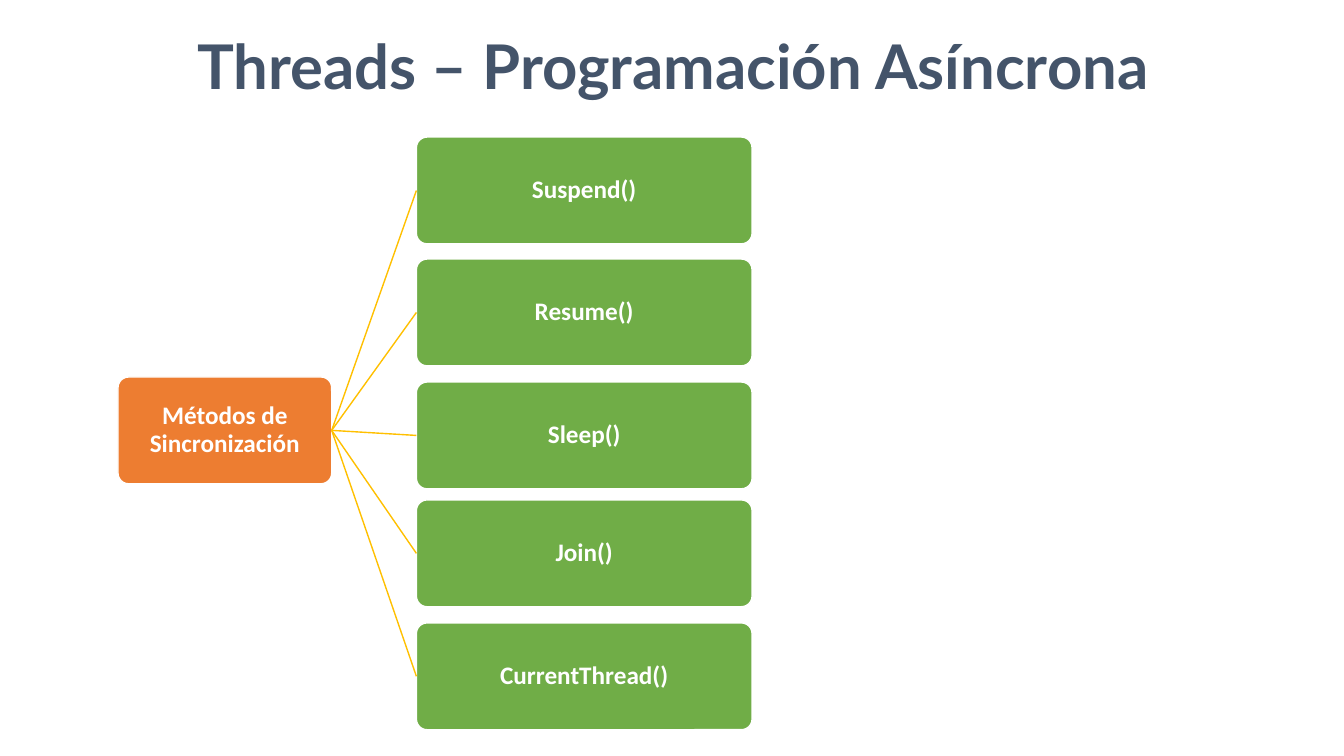
"""Build a slide with a tree of thread synchronisation methods."""
import pptx
import pptx.util
import pptx.dml.color
import pptx.enum.shapes
import pptx.enum.text
import pptx.oxml.ns
from lxml import etree
from pptx.util import Inches

COLORS = {
    "title": "44546A",
    "root": "ED7D31",
    "method": "70AD47",
    "branch": "FFC000",
    "white": "FFFFFF",
}
METHOD_TOPS = {
    "Suspend()": 1.36,
    "Resume()": 2.57,
    "Sleep()": 3.79,
    "Join()": 4.96,
    "CurrentThread()": 6.18,
}
NODE_HEIGHT = 1.06
LEFT_SITE, RIGHT_SITE = 1, 3


def color(name):
    """Return the named colour."""
    return pptx.dml.color.RGBColor.from_string(COLORS[name])


def write_text(shape, text, font_name, size, color_name, inset_x, inset_y):
    """Put one centred bold paragraph in a shape and return it."""
    frame = shape.text_frame
    frame.word_wrap = True
    frame.margin_left = frame.margin_right = Inches(inset_x)
    frame.margin_top = frame.margin_bottom = Inches(inset_y)
    para = frame.paragraphs[0]
    para.text = text
    para.alignment = pptx.enum.text.PP_ALIGN.CENTER
    para.font.name = font_name
    para.font.size = pptx.util.Pt(size)
    para.font.bold = True
    para.font.color.rgb = color(color_name)
    return para


def add_title(page, text):
    """Add the slide heading."""
    box = page.shapes.add_textbox(
        Inches(0.13), Inches(0.26), Inches(13.1), Inches(0.79))
    write_text(box, text, "Lato", 44, "title", 0.05, 0.02)


def add_node(page, text, left, top, width, fill_name):
    """Add a rounded box with a label."""
    node = page.shapes.add_shape(
        pptx.enum.shapes.MSO_SHAPE.ROUNDED_RECTANGLE,
        Inches(left), Inches(top), Inches(width), Inches(NODE_HEIGHT))
    node.adjustments[0] = 0.1
    node.shadow.inherit = False
    node.fill.solid()
    node.fill.fore_color.rgb = color(fill_name)
    node.line.color.rgb = color("white")
    node.line.width = pptx.util.Pt(1)
    para = write_text(node, text, "Calibri", 18, "white", 0.04, 0.04)
    para.line_spacing = 0.9
    node.text_frame.vertical_anchor = pptx.enum.text.MSO_ANCHOR.MIDDLE
    return node


def add_branch(page, parent, child):
    """Join the right side of the parent to the left side of the child."""
    branch = page.shapes.add_connector(
        pptx.enum.shapes.MSO_CONNECTOR.STRAIGHT, 0, 0, 0, 0)
    branch.begin_connect(parent, RIGHT_SITE)
    branch.end_connect(child, LEFT_SITE)
    branch.line.color.rgb = color("branch")
    branch.line.width = pptx.util.Pt(1)
    etree.SubElement(branch._element.spPr, pptx.oxml.ns.qn("a:effectLst"))


def main():
    """Build and save the slide."""
    deck = pptx.Presentation()
    deck.slide_width = Inches(13.33)
    deck.slide_height = Inches(7.5)
    page = deck.slides.add_slide(deck.slide_layouts[6])
    add_title(page, "Threads – Programación Asíncrona")
    root = add_node(page, "Métodos de Sincronización", 1.17, 3.74, 2.12, "root")
    for method, top in METHOD_TOPS.items():
        node = add_node(page, method, 4.13, top, 3.33, "method")
        add_branch(page, root, node)
    deck.save("out.pptx")


if __name__ == "__main__":
    main()
